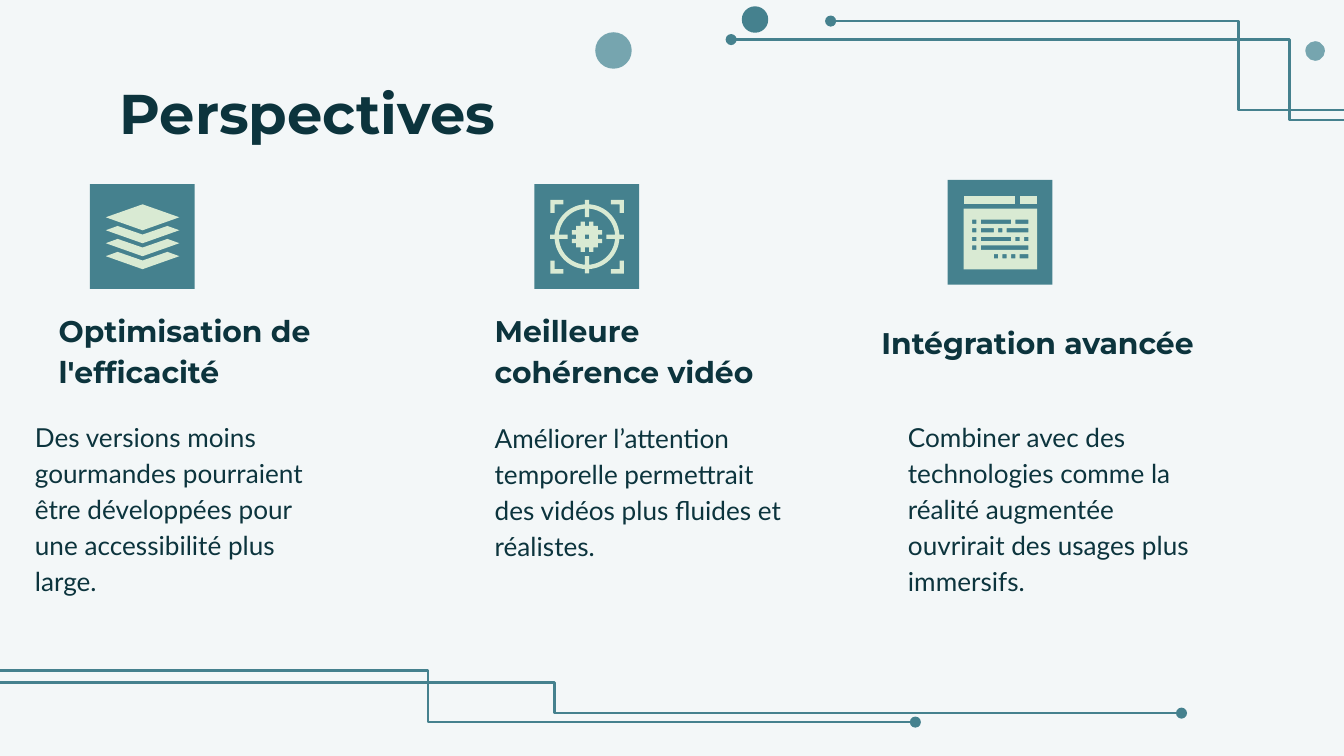
from dataclasses import dataclass
from math import cos, radians, sin

from lxml import etree
from pptx import Presentation
from pptx.dml.color import RGBColor
from pptx.enum.shapes import MSO_CONNECTOR, MSO_SHAPE
from pptx.enum.text import MSO_ANCHOR
from pptx.oxml.ns import qn
from pptx.util import Cm, Pt

ELBOW = MSO_CONNECTOR.ELBOW
OVAL, RECTANGLE = MSO_SHAPE.OVAL, MSO_SHAPE.RECTANGLE
TOP, BOTTOM = MSO_ANCHOR.TOP, MSO_ANCHOR.BOTTOM
BACKGROUND, INK, TEAL, LIGHT_TEAL, MINT = "F3F7F8", "0C343D", "45818E", "76A5AF", "D9EAD3"
TILE, ICON_MARGIN = 1.98, 0.3
GRID = 17  # icon cells per side
CELL = 1.39 / GRID

Contour = list[tuple[float, float]]
Outline = list[Contour]  # outer contour first, then its holes


@dataclass
class Dot:
    left: float
    top: float
    size: float
    color: str


@dataclass
class Trace:
    start: tuple[float, float]
    end: tuple[float, float]
    bend: float  # share of the width before the turn


@dataclass
class Label:
    text: str
    left: float
    top: float
    width: float
    height: float


@dataclass
class Column:
    tile: tuple[float, float]
    icon: list[Outline]
    heading: Label
    body: Label


def paint(fill, color: str) -> None:
    fill.solid()
    fill.fore_color.rgb = RGBColor.from_string(color)


def finish(shape, color: str) -> None:
    paint(shape.fill, color)
    shape.line.fill.background()
    shape.shadow.inherit = False


def add_preset(page, kind, left: float, top: float, size: float, color: str) -> None:
    finish(page.shapes.add_shape(kind, Cm(left), Cm(top), Cm(size), Cm(size)), color)


def add_trace(page, trace: Trace) -> None:
    line = page.shapes.add_connector(ELBOW, *map(Cm, trace.start + trace.end))
    paint(line.line.fill, TEAL)
    line.line.width = Pt(1.5)
    properties = line._element.spPr
    guides = properties.find(qn("a:prstGeom")).get_or_add_avLst()
    etree.SubElement(guides, qn("a:gd"), name="adj1", fmla=f"val {round(trace.bend * 100000)}")
    etree.SubElement(line.line._get_or_add_ln(), qn("a:tailEnd"), type="oval")
    etree.SubElement(properties, qn("a:effectLst"))


def add_label(page, label: Label, size: int, font: str, bold: bool,
              anchor=TOP, spacing: float = 1.15) -> None:
    box = page.shapes.add_textbox(*map(Cm, (label.left, label.top, label.width, label.height)))
    frame = box.text_frame
    frame.word_wrap = True
    frame.vertical_anchor = anchor
    frame.margin_left = frame.margin_right = frame.margin_top = frame.margin_bottom = Cm(0.25)
    para = frame.paragraphs[0]
    para.text = label.text
    para.line_spacing = spacing
    para.font.size, para.font.name, para.font.bold = Pt(size), font, bold
    para.font.color.rgb = RGBColor.from_string(INK)


def add_icon(page, left: float, top: float, outlines: list[Outline]) -> None:
    group = page.shapes.add_group_shape()
    for outline in outlines:
        contours = [[(Cm(left + x * CELL), Cm(top + y * CELL)) for x, y in contour]
                    for contour in outline]
        builder = group.shapes.build_freeform(*contours[0][0])
        builder.add_line_segments(contours[0][1:])
        for hole in contours[1:]:
            builder.move_to(*hole[0])
            builder.add_line_segments(hole[1:])
        finish(builder.convert_to_shape(), MINT)


# Icon geometry, in grid cells
def block(left: float, top: float, right: float, bottom: float) -> Contour:
    return [(left, top), (left, bottom), (right, bottom), (right, top)]


def four_turns(quarter: Contour) -> Contour:
    contour = []
    for _ in range(4):
        contour += quarter
        quarter = [(y, GRID - x) for x, y in quarter]
    return contour


def ring(radius: float, tip: float) -> Contour:
    arc = [(GRID / 2 + radius * cos(radians(angle)), GRID / 2 - radius * sin(radians(angle)))
           for angle in range(94, 177, 2)]
    return four_turns([(8, tip), (8, arc[0][1]), *arc, (arc[-1][0], 8), (tip, 8)])


def layers_icon() -> list[Outline]:
    sheet = [(8.5, 1), (0, 4), (8.5, 7), (17, 4)]
    edge = [(2.75, 6), (0, 7), (8.5, 10), (17, 7), (14.25, 6), (8.5, 8)]
    return [[sheet]] + [[[(x, y + drop) for x, y in edge]] for drop in (0, 3, 6)]


def target_icon() -> list[Outline]:
    corner = [(0, 0), (0, 3), (1, 3), (1, 1), (3, 1), (3, 0)]
    corners = [[[(abs(right - x), abs(low - y)) for x, y in corner]]
               for right in (0, GRID) for low in (0, GRID)]
    core = four_turns([(7, 5), (7, 6), (6, 6), (6, 7), (5, 7), (5, 8), (6, 8), (6, 9), (5, 9)])
    return [[ring(7.5, 0), ring(6.5, 4)], *corners, [core, block(8, 8, 9, 9)]]


def code_icon() -> list[Outline]:
    rows = [
        [(2, 3), (4, 11), (12, 15)],
        [(2, 3), (4, 7), (8, 9), (10, 15)],
        [(2, 3), (4, 11), (12, 13), (14, 15)],
        [(2, 3), (4, 15)],
        [(7, 8), (9, 10), (11, 12), (13, 15)],
    ]
    holes = [block(start, 5.5 + 2 * row, end, 6.5 + 2 * row)
             for row, marks in enumerate(rows) for start, end in marks]
    return [[block(0, 0, 12, 2)], [block(13, 0, 17, 2)], [block(0, 3, 17, 17), *holes]]


DOTS = [
    Dot(11.25, 0.61, 0.69, LIGHT_TEAL),
    Dot(14.02, 0.12, 0.5, TEAL),
    Dot(24.67, 0.78, 0.37, LIGHT_TEAL),
]
TRACES = [
    Trace((26.85, 2.27), (13.82, 0.75), 0.19),
    Trace((27.2, 2.08), (15.7, 0.4), 0.33),
    Trace((-1.37, 12.9), (22.33, 13.48), 0.5),
    Trace((-1.12, 12.67), (17.3, 13.65), 0.5),
]
TITLE = Label("Perspectives", 2.01, 1.24, 21.41, 1.6)
COLUMNS = [
    Column((1.7, 3.48), layers_icon(),
           Label("Optimisation de l'efficacité", 0.86, 6.53, 7.9, 1.09),
           Label("Des versions moins gourmandes pourraient être développées pour une "
                 "accessibilité plus large.", 0.41, 7.62, 6.27, 3.96)),
    Column((10.1, 3.48), target_icon(),
           Label("Meilleure cohérence vidéo", 9.1, 6.53, 6.05, 1.09),
           Label("Améliorer l’attention temporelle permettrait des vidéos plus fluides "
                 "et réalistes.", 9.1, 7.64, 6.05, 2.39)),
    Column((17.91, 3.4), code_icon(),
           Label("Intégration avancée", 16.41, 5.97, 7.47, 1.09),
           Label("Combiner avec des technologies comme la réalité augmentée ouvrirait "
                 "des usages plus immersifs.", 16.91, 7.62, 6.05, 2.39)),
]


def main() -> None:
    deck = Presentation()
    deck.slide_width, deck.slide_height = Cm(25.4), Cm(14.29)
    page = deck.slides.add_slide(deck.slide_layouts[6])
    paint(page.background.fill, BACKGROUND)

    # Circuit decoration
    for dot in DOTS:
        add_preset(page, OVAL, dot.left, dot.top, dot.size, dot.color)
    for trace in TRACES:
        add_trace(page, trace)

    # Title and columns
    add_label(page, TITLE, 30, "Montserrat", True, spacing=1.0)
    for column in COLUMNS:
        left, top = column.tile
        add_preset(page, RECTANGLE, left, top, TILE, TEAL)
        add_icon(page, left + ICON_MARGIN, top + ICON_MARGIN, column.icon)
        add_label(page, column.heading, 16, "Montserrat", True, BOTTOM)
        add_label(page, column.body, 14, "Lato", False)

    deck.save("out.pptx")


if __name__ == "__main__":
    main()
